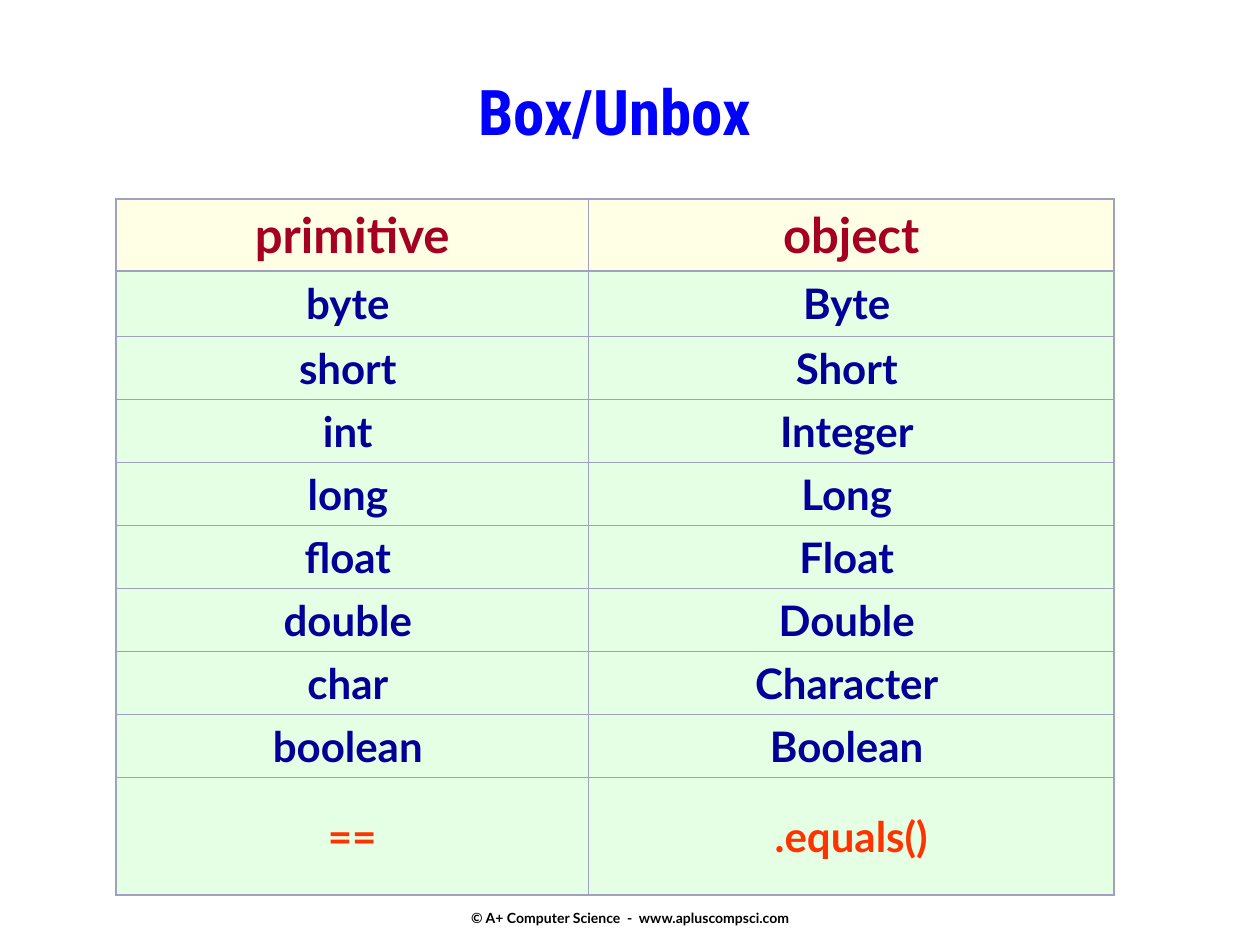
from dataclasses import dataclass
from lxml import etree
from pptx import Presentation
from pptx.dml.color import RGBColor as RGB
from pptx.enum.text import MSO_ANCHOR as ANCHOR, PP_ALIGN as ALIGN
from pptx.oxml.ns import qn
from pptx.util import Inches, Pt


@dataclass(frozen=True)
class Theme:
    title_font: str = "Roboto Condensed"
    body_font: str = "Lato"
    title: str = "0000FF"
    header: str = "A50021"
    body: str = "000099"
    compare: str = "FF3300"
    footer: str = "000000"
    header_fill: str = "FFFFCC"
    body_fill: str = "CCFFCC"
    border: str = "A0A0C0"
    title_size: int = 36
    header_size: int = 28
    body_size: int = 24
    footer_size: int = 8


theme = Theme()


def write(tf, text, font, size, color):
    tf.text = text
    p = tf.paragraphs[0]
    p.alignment = ALIGN.CENTER
    p.font.name, p.font.size, p.font.bold = font, Pt(size), True
    p.font.color.rgb = RGB.from_string(color)


def style_cell(cell, fill):
    """Draw thin borders and a half-transparent fill."""
    cell.fill.solid()
    cell.fill.fore_color.rgb = RGB.from_string(fill)
    tc_pr = cell._tc.get_or_add_tcPr()
    etree.SubElement(tc_pr.find(".//" + qn("a:srgbClr")), qn("a:alpha"), val="50000")
    for i, side in enumerate(("lnL", "lnR", "lnT", "lnB")):
        ln = etree.Element(qn("a:" + side), w=str(Pt(1)))
        solid = etree.SubElement(ln, qn("a:solidFill"))
        etree.SubElement(solid, qn("a:srgbClr"), val=theme.border)
        tc_pr.insert(i, ln)


prs = Presentation()
prs.slide_width, prs.slide_height = Inches(10), Inches(7.5)
s = prs.slides.add_slide(prs.slide_layouts[5])

# Title
title = s.shapes.title
title.left, title.top = Inches(1.17), Inches(0.5)
title.width, title.height = Inches(7.42), Inches(0.75)
title.text_frame.vertical_anchor = ANCHOR.MIDDLE
write(title.text_frame, "Box/Unbox", theme.title_font, theme.title_size, theme.title)

# Table of primitives and their wrapper classes
rows = [
    ("primitive", "object"),
    ("byte", "Byte"),
    ("short", "Short"),
    ("int", "Integer"),
    ("long", "Long"),
    ("float", "Float"),
    ("double", "Double"),
    ("char", "Character"),
    ("boolean", "Boolean"),
    ("==", ".equals()"),
]
heights = [0.57, 0.52] + [0.5] * 7 + [0.93]
widths = [3.75, 4.17]
table = s.shapes.add_table(len(rows), len(widths), Inches(0.92), Inches(1.58),
                           Inches(sum(widths)), Inches(sum(heights))).table
table.horz_banding = False
for col, width in zip(table.columns, widths):
    col.width = Inches(width)

last = len(rows) - 1
for i, (texts, height) in enumerate(zip(rows, heights)):
    table.rows[i].height = Inches(height)
    size, color, fill = theme.body_size, theme.body, theme.body_fill
    if i == 0:
        size, color, fill = theme.header_size, theme.header, theme.header_fill
    elif i == last:
        color = theme.compare
    for j, text in enumerate(texts):
        cell = table.cell(i, j)
        cell.vertical_anchor = ANCHOR.MIDDLE
        # Type names sit slightly left of centre
        cell.margin_right = Inches(0.17 if 0 < i < last else 0.1)
        write(cell.text_frame, text, theme.body_font, size, color)
        style_cell(cell, fill)

# Copyright line
footer = s.shapes.add_textbox(Inches(3.42), Inches(6.85), Inches(3.17), Inches(0.5))
tf = footer.text_frame
tf.word_wrap = False
tf.vertical_anchor = ANCHOR.BOTTOM
tf.margin_bottom = 0
write(tf, "© A+ Computer Science  -  www.apluscompsci.com",
      theme.body_font, theme.footer_size, theme.footer)

prs.save("out.pptx")
